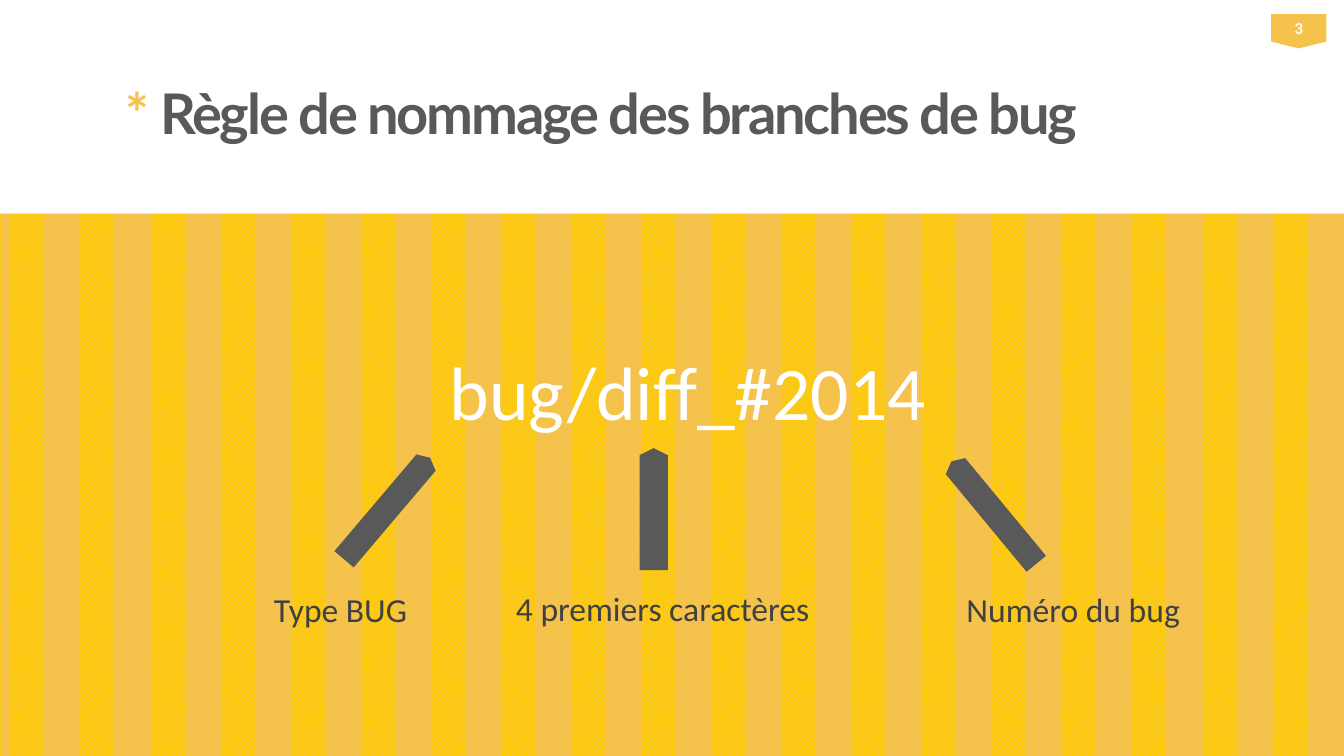
from pptx import Presentation
from pptx.dml.color import RGBColor
from pptx.enum.dml import MSO_PATTERN
from pptx.enum.shapes import MSO_SHAPE
from pptx.enum.text import MSO_ANCHOR, MSO_AUTO_SIZE, PP_ALIGN
from pptx.util import Pt

COLORS = {"amber": "F5C24C", "yellow": "FFCC00", "grey": "595959",
          "label": "404040", "white": "FFFFFF"}
TITLE = [("* ", "amber"), ("Règle de nommage des branches de bug", "grey")]
PAGE = "3"
TEXTS = [
    ("bug/diff_#2014", (313.92, 242.64, 359.28, 72.72), 54, "white"),
    ("Type BUG", (188.64, 416.88, 110.16, 36), 24, "label"),
    ("4 premiers caractères", (361.44, 416.16, 226.08, 36), 24, "label"),
    ("Numéro du bug", (683.28, 416.88, 168.48, 36), 24, "label"),
]
ARROWS = [
    ((228.96, 354.24, 95.04, 18), 310.3),
    ((423.36, 353.52, 87.12, 20.16), 270),
    ((662.4, 357.12, 95.04, 18), 230.4),
]


def rgb(name):
    return RGBColor.from_string(COLORS[name])


def add_shape(kind, box, color):
    shape = slide.shapes.add_shape(kind, *map(Pt, box))
    shape.shadow.inherit = False
    shape.line.fill.background()
    shape.fill.solid()
    shape.fill.fore_color.rgb = rgb(color)
    return shape


def style(paragraph, size, color):
    font = paragraph.font
    font.name, font.size, font.color.rgb = "Calibri", Pt(size), rgb(color)


prs = Presentation()
prs.slide_width, prs.slide_height = Pt(960), Pt(540)
slide = prs.slides.add_slide(prs.slide_layouts[5])

band = add_shape(MSO_SHAPE.RECTANGLE, (0, 152.64, 960, 397.44), "amber")
band.fill.patterned()
band.fill.pattern = MSO_PATTERN.PERCENT_90
band.fill.fore_color.rgb = rgb("amber")
band.fill.back_color.rgb = rgb("yellow")

title = slide.shapes.title
title.left, title.top, title.width, title.height = map(Pt, (82.08, 52.56, 773.28, 47.52))
title.text_frame.auto_size = MSO_AUTO_SIZE.NONE
title.text_frame.vertical_anchor = MSO_ANCHOR.TOP
heading = title.text_frame.paragraphs[0]
heading.alignment = PP_ALIGN.LEFT
heading.font.name, heading.font.size, heading.font.bold = "Lato", Pt(40), True
for words, color in TITLE:
    run = heading.add_run()
    run.text = words
    run.font.color.rgb = rgb(color)
    run.font._element.set("spc", "-150")

badge = add_shape(MSO_SHAPE.FLOWCHART_OFFPAGE_CONNECTOR, (907.92, 10.08, 39.6, 24.48), "amber")
frame = badge.text_frame
frame.margin_left = frame.margin_right = frame.margin_top = frame.margin_bottom = 0
frame.vertical_anchor = MSO_ANCHOR.MIDDLE
number = frame.paragraphs[0]
number.text = PAGE
number.alignment = PP_ALIGN.CENTER
style(number, 12, "white")
number.font.bold = True

for words, box, size, color in TEXTS:
    label = slide.shapes.add_textbox(*map(Pt, box)).text_frame
    label.word_wrap = False
    label.auto_size = MSO_AUTO_SIZE.SHAPE_TO_FIT_TEXT
    label.paragraphs[0].text = words
    style(label.paragraphs[0], size, color)

for box, angle in ARROWS:
    arrow = add_shape(MSO_SHAPE.PENTAGON, box, "grey")
    arrow.adjustments[0] = 0.25
    arrow.rotation = angle

prs.save("out.pptx")
